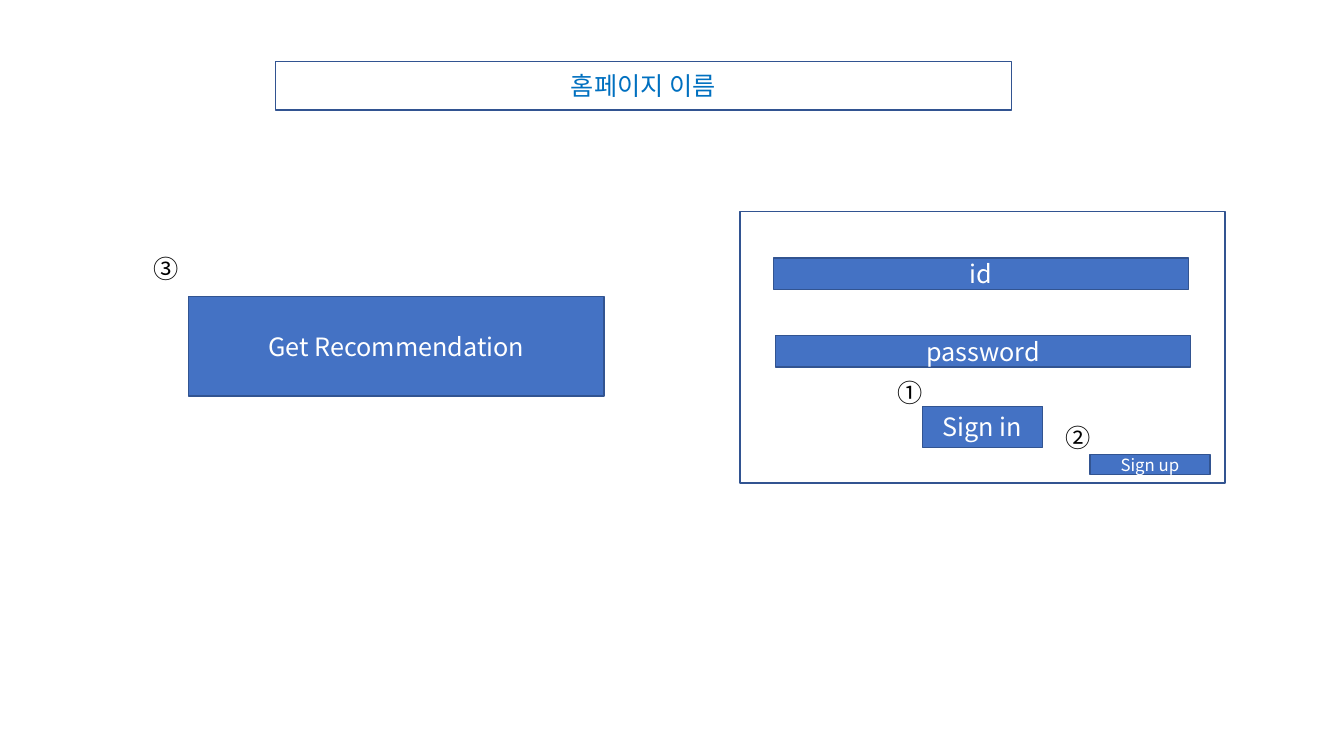
from dataclasses import dataclass

from lxml.etree import SubElement
from pptx import Presentation
from pptx.dml.color import RGBColor
from pptx.enum.shapes import MSO_SHAPE
from pptx.enum.text import MSO_ANCHOR, MSO_AUTO_SIZE, PP_ALIGN
from pptx.oxml.ns import qn
from pptx.shapes.autoshape import Shape
from pptx.slide import Slide
from pptx.text.text import TextFrame
from pptx.util import Inches, Pt


@dataclass(frozen=True)
class Theme:
    font: str = "Noto Sans CJK KR"
    fill: RGBColor = RGBColor(0x44, 0x72, 0xC4)
    outline: RGBColor = RGBColor(0x32, 0x54, 0x91)
    heading: RGBColor = RGBColor(0x00, 0x70, 0xC0)
    on_fill: RGBColor = RGBColor(0xFF, 0xFF, 0xFF)
    marker: RGBColor = RGBColor(0x00, 0x00, 0x00)
    body_size: int = 18
    small_size: int = 12
    outline_width: int = 1


THEME = Theme()


@dataclass(frozen=True)
class Box:
    left: float
    top: float
    width: float
    height: float


@dataclass(frozen=True)
class Control:
    label: str
    box: Box
    size: int = THEME.body_size


@dataclass(frozen=True)
class Marker:
    symbol: str
    left: float
    top: float


FIELD_WIDTH, FIELD_HEIGHT = 4.12, 0.31
BUTTON_WIDTH = 1.19
HEADER = Box(2.73, 0.61, 7.3, 0.48)
LOGIN_PANEL = Box(7.34, 2.1, 4.81, 2.69)
CONTROLS = (
    Control("id", Box(7.67, 2.56, FIELD_WIDTH, FIELD_HEIGHT)),
    Control("password", Box(7.69, 3.33, FIELD_WIDTH, FIELD_HEIGHT)),
    Control("Sign in", Box(9.15, 4.03, BUTTON_WIDTH, 0.41)),
    Control("Sign up", Box(10.81, 4.51, BUTTON_WIDTH, 0.2), THEME.small_size),
    Control("Get Recommendation", Box(1.87, 2.94, FIELD_WIDTH, 0.99)),
)
MARKERS = (
    Marker("①", 8.8, 3.69),
    Marker("②", 10.47, 4.14),
    Marker("③", 1.42, 2.46),
)


def add_text(frame: TextFrame, text: str, color: RGBColor, size: int,
             align: PP_ALIGN = PP_ALIGN.CENTER) -> None:
    """Add one run, with the theme font set for Latin and Korean text."""
    paragraph = frame.paragraphs[0]
    paragraph.alignment = align
    run = paragraph.add_run()
    run.text = text
    run.font.size = Pt(size)
    run.font.color.rgb = color
    run.font.name = THEME.font
    SubElement(run.font._element, qn("a:ea"), typeface=THEME.font)


def set_outline(shape: Shape) -> None:
    shape.line.color.rgb = THEME.outline
    shape.line.width = Pt(THEME.outline_width)


def add_rectangle(slide: Slide, box: Box) -> Shape:
    rectangle = slide.shapes.add_shape(
        MSO_SHAPE.RECTANGLE, Inches(box.left), Inches(box.top),
        Inches(box.width), Inches(box.height))
    rectangle.shadow.inherit = False
    set_outline(rectangle)
    return rectangle


def add_header(slide: Slide, text: str) -> None:
    header = slide.shapes.title
    header.left, header.top = Inches(HEADER.left), Inches(HEADER.top)
    header.width, header.height = Inches(HEADER.width), Inches(HEADER.height)
    header.fill.background()
    set_outline(header)
    frame = header.text_frame
    frame.auto_size = MSO_AUTO_SIZE.NONE
    frame.vertical_anchor = MSO_ANCHOR.MIDDLE
    add_text(frame, text, THEME.heading, THEME.body_size)


def add_control(slide: Slide, control: Control) -> None:
    rectangle = add_rectangle(slide, control.box)
    rectangle.fill.solid()
    rectangle.fill.fore_color.rgb = THEME.fill
    frame = rectangle.text_frame
    frame.vertical_anchor = MSO_ANCHOR.MIDDLE
    add_text(frame, control.label, THEME.on_fill, control.size)


def add_marker(slide: Slide, marker: Marker) -> None:
    frame = slide.shapes.add_textbox(
        Inches(marker.left), Inches(marker.top), Inches(0.45), Inches(0.4)).text_frame
    frame.word_wrap = False
    frame.auto_size = MSO_AUTO_SIZE.SHAPE_TO_FIT_TEXT
    add_text(frame, marker.symbol, THEME.marker, THEME.body_size, PP_ALIGN.LEFT)


def main() -> None:
    deck = Presentation()
    deck.slide_width, deck.slide_height = Inches(13.33), Inches(7.5)
    slide = deck.slides.add_slide(deck.slide_layouts.get_by_name("Title Only"))
    add_header(slide, "홈페이지 이름")
    add_rectangle(slide, LOGIN_PANEL).fill.background()
    for control in CONTROLS:
        add_control(slide, control)
    for marker in MARKERS:
        add_marker(slide, marker)
    deck.save("out.pptx")


if __name__ == "__main__":
    main()
